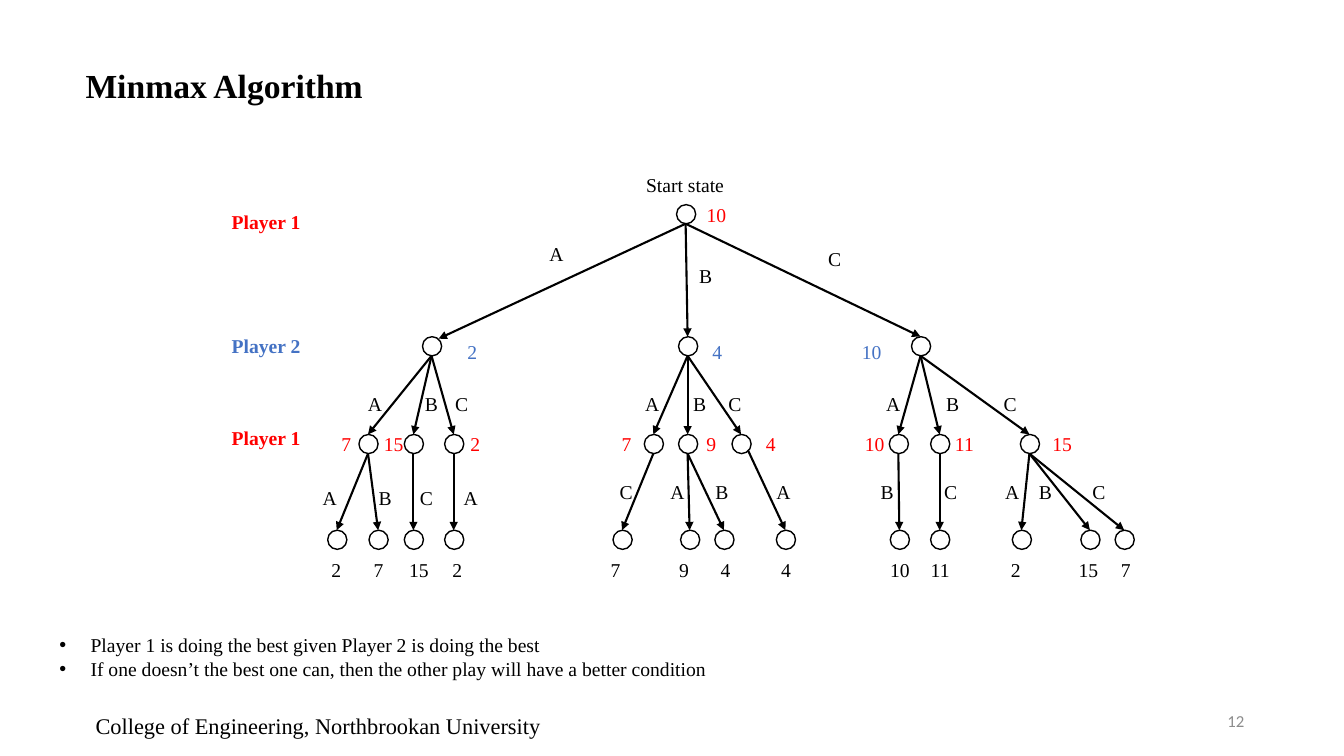
"""Build a slide that explains the minmax algorithm with a three-move game tree."""
from dataclasses import dataclass

from lxml import etree
from pptx import Presentation
from pptx import util as u
from pptx.dml.color import RGBColor
from pptx.enum import shapes, text
from pptx.oxml import ns

EMU_PER_PX = 9144
BLACK = RGBColor(0x00, 0x00, 0x00)
WHITE = RGBColor(0xFF, 0xFF, 0xFF)
RED = RGBColor(0xFF, 0x00, 0x00)
BLUE = RGBColor(0x44, 0x72, 0xC4)
GRAY = RGBColor(0x8C, 0x8C, 0x8C)
SERIF = "Times New Roman"

DIAMETER = 19
LABEL_HEIGHT = 34
MOVE_WIDTH = 74
NODE_TOPS = (203, 334, 431, 526)
VALUE_TOPS = (196, 332, 424, 549)
VALUE_COLORS = (RED, BLUE, RED, BLACK)


@dataclass(frozen=True)
class Label:
    """A text box with one style for all its paragraphs."""
    lines: tuple[str, ...]
    left: int
    top: int
    width: int
    height: int = LABEL_HEIGHT
    size: int = 14
    color: RGBColor = BLACK
    bold: bool = False
    font: str = SERIF
    align: text.PP_ALIGN = text.PP_ALIGN.CENTER
    anchor: text.MSO_ANCHOR = text.MSO_ANCHOR.TOP
    wrap: bool = True
    bullet: bool = False


@dataclass(frozen=True)
class Node:
    """A game state, its value and the move that leads to it."""
    left: int
    value: str
    value_mid: int
    move: str = ""
    move_left: int = 0
    move_top: int = 0
    children: tuple["Node", ...] = ()
    entry: tuple[int, int] = (9, 0)
    exit: tuple[int, int] = (9, DIAMETER)


TREE = Node(671, "10", 710, children=(
    Node(419, "2", 468, "A", 515, 235, entry=(16, 2), children=(
        Node(356, "7", 343, "A", 335, 384, children=(
            Node(325, "2", 333, "A", 290, 477),
            Node(366, "7", 375, "B", 345, 477))),
        Node(401, "15", 390, "B", 391, 384, children=(
            Node(401, "15", 415, "C", 386, 477),)),
        Node(441, "2", 471, "C", 421, 384, children=(
            Node(441, "2", 453, "A", 430, 477),)))),
    Node(673, "4", 711, "B", 663, 257, children=(
        Node(639, "7", 621, "A", 610, 384, children=(
            Node(608, "7", 610, "C", 584, 471),)),
        Node(673, "9", 705, "B", 657, 384, children=(
            Node(675, "9", 678, "A", 635, 471),
            Node(709, "4", 719, "B", 679, 471))),
        Node(726, "4", 764, "C", 692, 384, exit=(16, 16), children=(
            Node(770, "4", 779, "A", 740, 471),)))),
    Node(904, "10", 864, "C", 791, 240, children=(
        Node(882, "10", 867, "A", 849, 384, children=(
            Node(883, "10", 892, "B", 843, 471),)),
        Node(923, "11", 956, "B", 908, 384, children=(
            Node(923, "11", 932, "C", 906, 471),)),
        Node(1012, "15", 1053, "C", 965, 384, children=(
            Node(1004, "2", 1007, "A", 967, 471),
            Node(1072, "15", 1079, "B", 1000, 471),
            Node(1106, "7", 1116, "C", 1053, 471))))),
))

LABELS = (
    Label(("College of Engineering, Northbrookan University",), 75, 702, 481, 37,
          size=16, wrap=False),
    Label(("12",), 944, 695, 300, 40, size=12, color=GRAY, font="Calibri",
          align=text.PP_ALIGN.RIGHT, anchor=text.MSO_ANCHOR.MIDDLE),
    Label(("Minmax Algorithm",), 75, 59, 298, 50, size=24, bold=True,
          align=text.PP_ALIGN.LEFT, wrap=False),
    Label(("Start state",), 616, 167, 127),
    Label(("Player 1",), 207, 203, 114, color=RED, bold=True),
    Label(("Player 2",), 207, 326, 114, color=BLUE, bold=True),
    Label(("Player 1",), 207, 418, 114, color=RED, bold=True),
    Label(("Player 1 is doing the best given Player 2 is doing the best",
           "If one doesn’t the best one can, then the other play will have a better condition"),
          49, 623, 794, 57, align=text.PP_ALIGN.LEFT, bullet=True),
)


def px(length: int) -> u.Emu:
    """Turn px into EMU."""
    return u.Emu(length * EMU_PER_PX)


def add_bullet(p) -> None:
    """Give a paragraph a round bullet with a hanging indent."""
    pPr = p._p.get_or_add_pPr()
    pPr.set("marL", str(px(31)))
    pPr.set("indent", str(px(-31)))
    font = etree.Element(ns.qn("a:buFont"), typeface="Arial")
    char = etree.Element(ns.qn("a:buChar"), char="•")
    pPr.insert(0, font)
    pPr.insert(1, char)


def add_label(slide, label: Label) -> None:
    """Draw a text box."""
    sp = slide.shapes.add_textbox(
        px(label.left), px(label.top), px(label.width), px(label.height))
    tf = sp.text_frame
    tf.text = "\n".join(label.lines)
    tf.word_wrap = label.wrap
    tf.vertical_anchor = label.anchor
    for p in tf.paragraphs:
        p.alignment = label.align
        p.font.name = label.font
        p.font.size = u.Pt(label.size)
        p.font.bold = label.bold
        p.font.color.rgb = label.color
        if label.bullet:
            add_bullet(p)


def add_arrow(slide, start: tuple[int, int], end: tuple[int, int]) -> None:
    """Draw a straight arrow between two points."""
    line = slide.shapes.add_connector(
        shapes.MSO_CONNECTOR.STRAIGHT, *map(px, start + end))
    line.line.color.rgb = BLACK
    line.line.width = u.Pt(1.5)
    etree.SubElement(line.line._get_or_add_ln(), ns.qn("a:tailEnd"), type="triangle")
    etree.SubElement(line._element.spPr, ns.qn("a:effectLst"))


def add_node(slide, node: Node, depth: int = 0) -> None:
    """Draw a node with its value, then its moves and children."""
    top = NODE_TOPS[depth]
    sp = slide.shapes.add_shape(
        shapes.MSO_SHAPE.OVAL, px(node.left), px(top), px(DIAMETER), px(DIAMETER))
    sp.shadow.inherit = False
    sp.fill.solid()
    sp.fill.fore_color.rgb = WHITE
    sp.line.color.rgb = BLACK
    sp.line.width = u.Pt(1)
    width = 31 if len(node.value) == 1 else 45
    add_label(slide, Label((node.value,), node.value_mid - width // 2,
                           VALUE_TOPS[depth], width, color=VALUE_COLORS[depth]))
    for child in node.children:
        add_arrow(slide, (node.left + node.exit[0], top + node.exit[1]),
                  (child.left + child.entry[0], NODE_TOPS[depth + 1] + child.entry[1]))
        add_label(slide, Label((child.move,), child.move_left, child.move_top, MOVE_WIDTH))
        add_node(slide, child, depth + 1)


def main() -> None:
    """Build and save the slide."""
    prs = Presentation()
    prs.slide_width, prs.slide_height = px(1333), px(750)
    slide = prs.slides.add_slide(prs.slide_layouts[6])
    for label in LABELS:
        add_label(slide, label)
    add_node(slide, TREE)
    prs.save("out.pptx")


if __name__ == "__main__":
    main()
